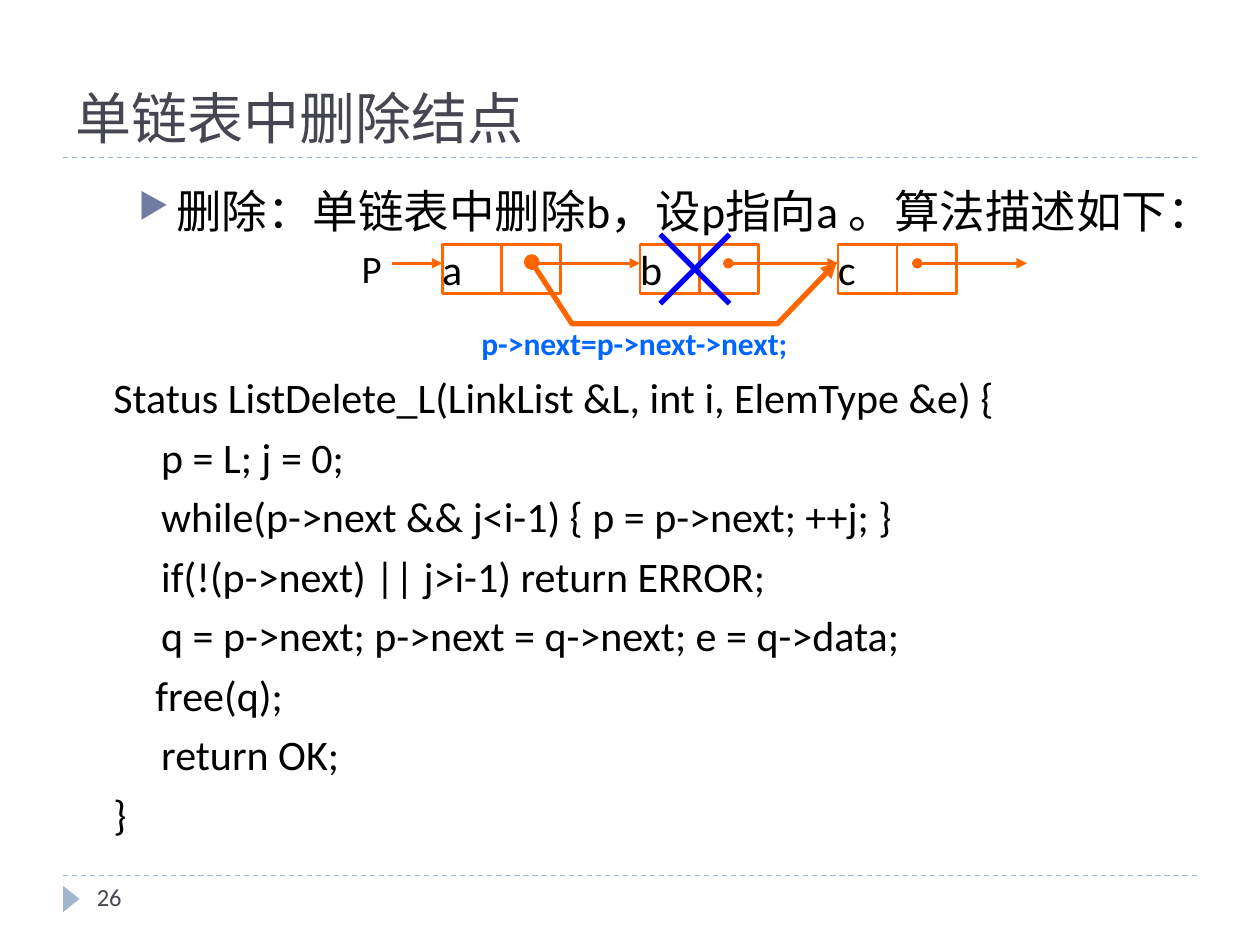
"""Build the slide on deleting a node from a singly linked list."""
from lxml import etree
from pptx import Presentation, util as u
from pptx.dml import color as dml
from pptx.enum import dml as styles, shapes, text
from pptx.oxml import ns

ORANGE, BLUE, STEEL, SLATE, BLACK = "FF6600", "0000FF", "9FB8CD", "464653", "000000"
CJK = "Noto Sans CJK SC"
colour = dml.RGBColor.from_string

presentation = Presentation()
presentation.slide_width, presentation.slide_height = u.Inches(10), u.Inches(7.5)
column, row = presentation.slide_width / 10, presentation.slide_height / 7.5


def grid(*lengths):
    """Turn alternating column and row counts into slide lengths."""
    return [u.Emu(round(length * (row if index % 2 else column)))
            for index, length in enumerate(lengths)]


def write(shape, lines, size, hue, inset=0, font="Calibri", bold=False):
    """Fill a shape with left-aligned lines of one style."""
    frame = shape.text_frame
    frame.text = "\n".join(lines)
    frame.word_wrap = True
    frame.margin_left = frame.margin_right = u.Inches(inset)
    frame.margin_top = frame.margin_bottom = u.Inches(inset / 2)
    for paragraph in frame.paragraphs:
        paragraph.alignment = text.PP_ALIGN.LEFT
        for run in paragraph.runs:
            run.font.name, run.font.size, run.font.bold = font, u.Pt(size), bold
            run.font.color.rgb = colour(hue)
            properties = run._r.get_or_add_rPr()
            etree.SubElement(properties, ns.qn("a:ea"), typeface=CJK)
    return frame


slide = presentation.slides.add_slide(presentation.slide_layouts[5])
title = slide.shapes.title
title.left, title.top, title.width, title.height = grid(0.5, 0.17, 9, 1.08)
write(title, ["单链表中删除结点"], 32, SLATE, 0.1, CJK).vertical_anchor = text.MSO_ANCHOR.BOTTOM

marker = slide.shapes.add_shape(shapes.MSO_SHAPE.ISOSCELES_TRIANGLE, *grid(0.46, 7.07, 0.21, 0.13))
marker.rotation = 90
marker.shadow.inherit = False
marker.fill.solid()
marker.fill.fore_color.rgb = colour(STEEL)
marker.line.fill.background()
write(slide.shapes.add_textbox(*grid(0.67, 6.95, 2.17, 0.4)), ["26"], 14, SLATE, 0.1)

intro = slide.shapes.add_textbox(*grid(1, 1.4, 8.83, 0.46))
frame = write(intro, ["删除：单链表中删除b，设p指向a 。算法描述如下："], 26, BLACK, 0.1)
bullet = frame.paragraphs[0]._p.get_or_add_pPr()
bullet.set("marL", str(u.Inches(0.3)))
bullet.set("indent", str(u.Inches(-0.3)))
etree.SubElement(etree.SubElement(bullet, ns.qn("a:buClr")), ns.qn("a:srgbClr"), val="727CA3")
etree.SubElement(bullet, ns.qn("a:buSzPct"), val="76000")
etree.SubElement(bullet, ns.qn("a:buChar"), char="▶")

code = [
    "Status ListDelete_L(LinkList &L, int i, ElemType &e) {",
    "\tp = L; j = 0;",
    "\twhile(p->next && j<i-1) { p = p->next; ++j; }",
    "\tif(!(p->next) || j>i-1) return ERROR;",
    "\tq = p->next; p->next = q->next; e = q->data;",
    "　free(q);",
    "\treturn OK;",
    "}",
]
listing = slide.shapes.add_textbox(*grid(0.9, 2.88, 9.1, 3.7))
for paragraph in write(listing, code, 24, BLACK).paragraphs:
    paragraph.line_spacing = u.Pt(34)
    indents = paragraph._p.get_or_add_pPr()
    indents.set("marL", str(u.Inches(0.38)))
    indents.set("indent", str(u.Inches(-0.38)))

cell_width, cell_height, node_top, node_step = 0.47, 0.39, 1.94, 1.57
for index, name in enumerate("abc"):
    for part, label in enumerate((name, "")):
        left = 3.51 + index * node_step + part * cell_width
        cell = slide.shapes.add_shape(shapes.MSO_SHAPE.RECTANGLE,
                                      *grid(left, node_top, cell_width, cell_height))
        cell.shadow.inherit = False
        cell.fill.solid()
        cell.fill.fore_color.rgb = colour("FFFFFF")
        cell.line.color.rgb = colour(ORANGE)
        cell.line.width = u.Pt(1.5)
        write(cell, [label], 24, BLACK).vertical_anchor = text.MSO_ANCHOR.MIDDLE

write(slide.shapes.add_textbox(*grid(2.87, node_top, 0.32, cell_height)), ["P"], 22.2, BLACK)
write(slide.shapes.add_textbox(*grid(3.82, 2.57, 4.49, 0.3)),
      ["p->next=p->next->next;"], 18, "0066FF", bold=True)

dividers = [([(0.5, y), (9.5, y)], STEEL, 0.75, None, None) for y in (1.25, 6.95)]
pointers = [([(x, 2.09), (x + 0.87, 2.09)], ORANGE, 1.5, "oval", "triangle")
            for x in (4.21, 5.78, 7.28)]
head_pointer = ([(3.11, 2.09), (3.51, 2.09)], ORANGE, 1.5, None, "triangle")
cross = [([(5.24, y), (5.79, 4.27 - y)], BLUE, 3, None, None) for y in (1.86, 2.41)]
bypass = ([(4.22, 2.08), (4.54, 2.57), (6.17, 2.57), (6.64, 2.08)], ORANGE, 3, "oval", "triangle")

for points, hue, width, head, tail in [*dividers, head_pointer, *pointers, *cross, bypass]:
    places = [grid(*point) for point in points]
    if len(places) == 2:
        shape = slide.shapes.add_connector(shapes.MSO_CONNECTOR.STRAIGHT, *places[0], *places[1])
    else:
        builder = slide.shapes.build_freeform(*places[0])
        builder.add_line_segments(places[1:], close=False)
        shape = builder.convert_to_shape()
        shape.fill.background()
    shape.line.color.rgb = colour(hue)
    shape.line.width = u.Pt(width)
    if hue == STEEL:
        shape.line.dash_style = styles.MSO_LINE.DASH
    outline = shape.line._get_or_add_ln()
    for tag, kind in (("a:headEnd", head), ("a:tailEnd", tail)):
        if kind:
            etree.SubElement(outline, ns.qn(tag), type=kind)
    etree.SubElement(shape._element.spPr, ns.qn("a:effectLst"))

presentation.save("out.pptx")
